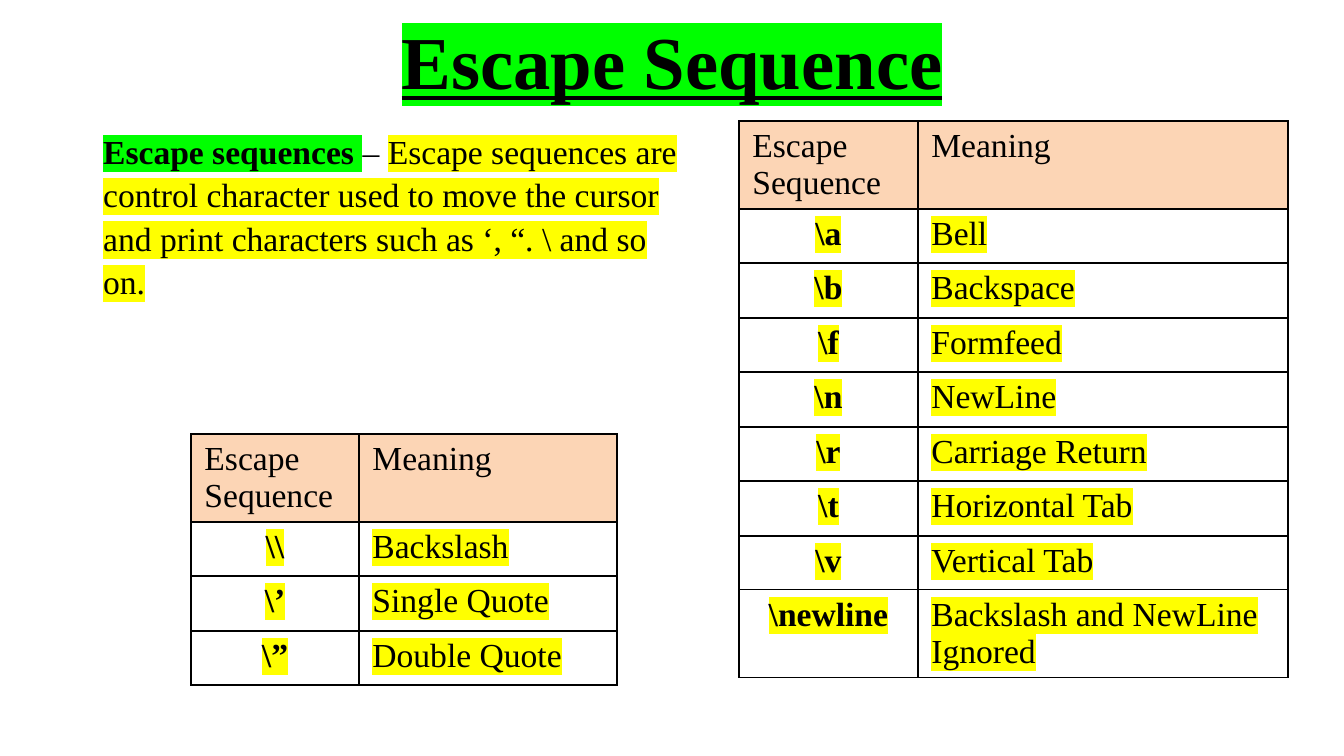
from dataclasses import dataclass

from lxml import etree
from pptx import Presentation
from pptx.dml.color import RGBColor
from pptx.enum.text import MSO_ANCHOR, PP_ALIGN
from pptx.oxml.ns import qn
from pptx.util import Emu, Pt

EMU_PER_PX = 9144000 / 1344
FONT = "Times New Roman"
COLORS = {
    "text": "000000",
    "border": "000000",
    "header": "FCD5B5",
    "green": "00FF00",
    "yellow": "FFFF00",
}


@dataclass(frozen=True)
class TextRun:
    text: str
    highlight: str = ""
    bold: bool = False
    underline: bool = False
    size: int = 18


@dataclass(frozen=True)
class EscapeTable:
    left: int
    top: int
    columns: tuple[int, int]
    entries: tuple[tuple[str, str], ...]


TABLES = (
    EscapeTable(739, 121, (179, 370), (
        (r"\a", "Bell"),
        (r"\b", "Backspace"),
        (r"\f", "Formfeed"),
        (r"\n", "NewLine"),
        (r"\r", "Carriage Return"),
        (r"\t", "Horizontal Tab"),
        (r"\v", "Vertical Tab"),
        (r"\newline", "Backslash and NewLine Ignored"),
    )),
    EscapeTable(191, 434, (168, 258), (
        (r"\\", "Backslash"),
        (r"\’", "Single Quote"),
        (r"\”", "Double Quote"),
    )),
)
DEFINITION = (
    TextRun("Escape sequences", "green", bold=True),
    TextRun(" ", "green"),
    TextRun("– "),
    TextRun("Escape sequences are control character used to move the cursor "
            "and print characters such as ‘, “. \\ and so on.", "yellow"),
)


def px(length: int) -> Emu:
    return Emu(round(length * EMU_PER_PX))


def rgb(name: str) -> RGBColor:
    return RGBColor.from_string(COLORS[name])


def add_run(paragraph, spec: TextRun) -> None:
    run = paragraph.add_run()
    run.text = spec.text
    font = run.font
    font.name, font.size, font.bold = FONT, Pt(spec.size), spec.bold
    font.underline = spec.underline
    font.color.rgb = rgb("text")
    if spec.highlight:
        highlight = etree.Element(qn("a:highlight"))
        etree.SubElement(highlight, qn("a:srgbClr"), val=COLORS[spec.highlight])
        run.font.fill._xPr.find(qn("a:solidFill")).addnext(highlight)


def set_borders(cell) -> None:
    properties = cell._tc.get_or_add_tcPr()
    for index, side in enumerate(("lnL", "lnR", "lnT", "lnB")):
        line = etree.Element(qn(f"a:{side}"), w=str(Pt(1)))
        fill = etree.SubElement(line, qn("a:solidFill"))
        etree.SubElement(fill, qn("a:srgbClr"), val=COLORS["border"])
        properties.insert(index, line)


def fill_cell(cell, spec: TextRun, header: bool, centred: bool) -> None:
    paragraph = cell.text_frame.paragraphs[0]
    paragraph.alignment = PP_ALIGN.CENTER if centred else PP_ALIGN.LEFT
    add_run(paragraph, spec)
    if header:
        cell.fill.solid()
        cell.fill.fore_color.rgb = rgb("header")
    else:
        cell.fill.background()
    set_borders(cell)


def add_escape_table(slide, spec: EscapeTable) -> None:
    rows = (("Escape Sequence", "Meaning"),) + spec.entries
    heights = [55 - index % 2 for index in range(len(rows))]
    table = slide.shapes.add_table(
        len(rows), 2, px(spec.left), px(spec.top),
        px(sum(spec.columns)), px(sum(heights))).table
    table.first_row = table.horz_banding = False
    for column, width in zip(table.columns, spec.columns):
        column.width = px(width)
    for r, (texts, height) in enumerate(zip(rows, heights)):
        table.rows[r].height = px(height)
        header = r == 0
        for c, text in enumerate(texts):
            code = not header and c == 0
            run = TextRun(text, "" if header else "yellow", bold=code)
            fill_cell(table.cell(r, c), run, header, code)


def add_title(slide) -> None:
    title = slide.shapes.title
    title.left, title.top = px(67), px(-3)
    title.width, title.height = px(1210), px(126)
    title.text_frame.vertical_anchor = MSO_ANCHOR.MIDDLE
    paragraph = title.text_frame.paragraphs[0]
    paragraph.alignment = PP_ALIGN.CENTER
    add_run(paragraph, TextRun("Escape Sequence", "green", True, True, 40))


def add_definition(slide) -> None:
    box = slide.shapes.add_textbox(px(90), px(121), px(605), px(176))
    box.text_frame.word_wrap = True
    paragraph = box.text_frame.paragraphs[0]
    paragraph.line_spacing = 1.08
    for run in DEFINITION:
        add_run(paragraph, run)


def main() -> None:
    presentation = Presentation()
    presentation.slide_width, presentation.slide_height = px(1344), px(756)
    slide = presentation.slides.add_slide(presentation.slide_layouts[5])
    add_title(slide)
    for table in TABLES:
        add_escape_table(slide, table)
    add_definition(slide)
    presentation.save("out.pptx")


main()
